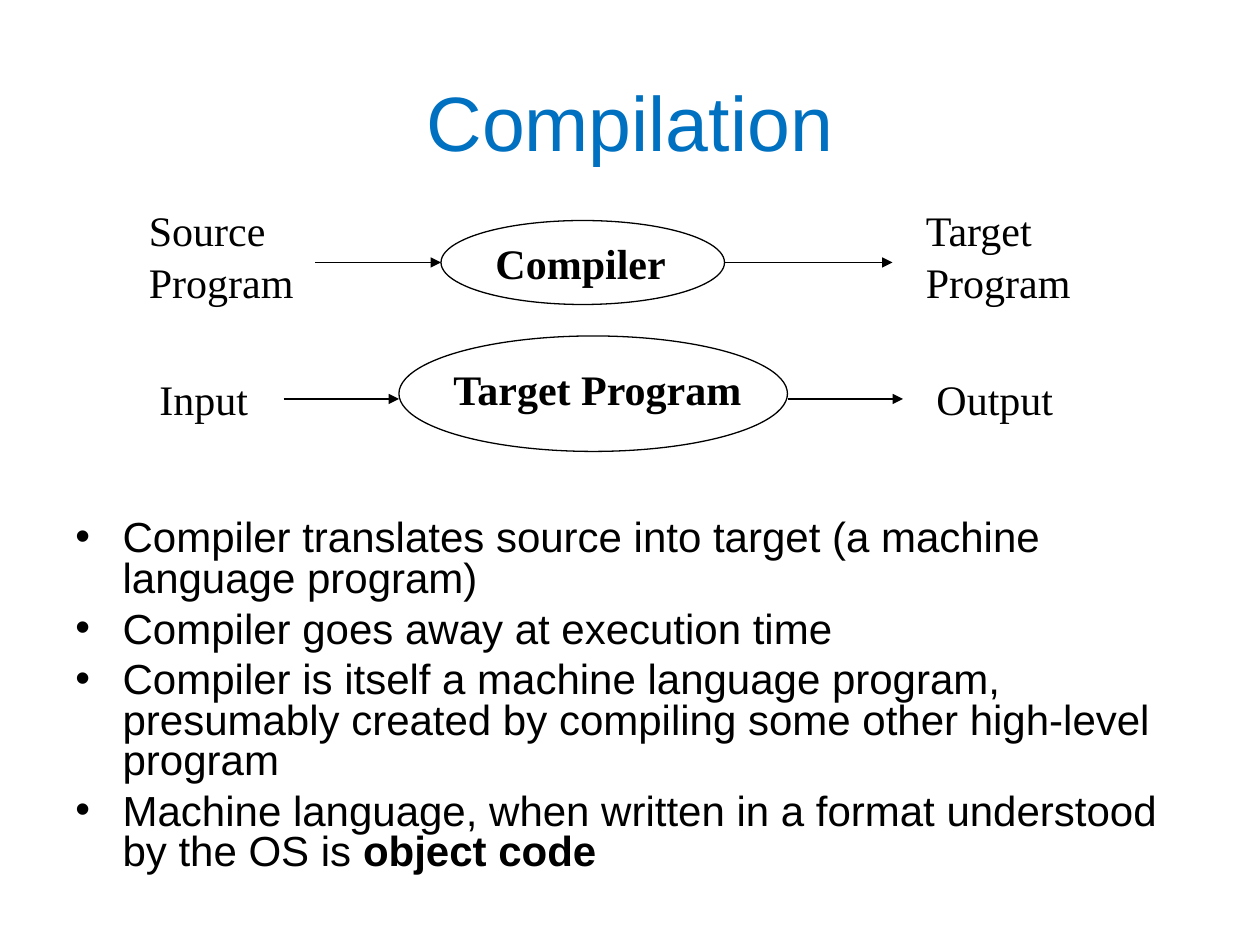
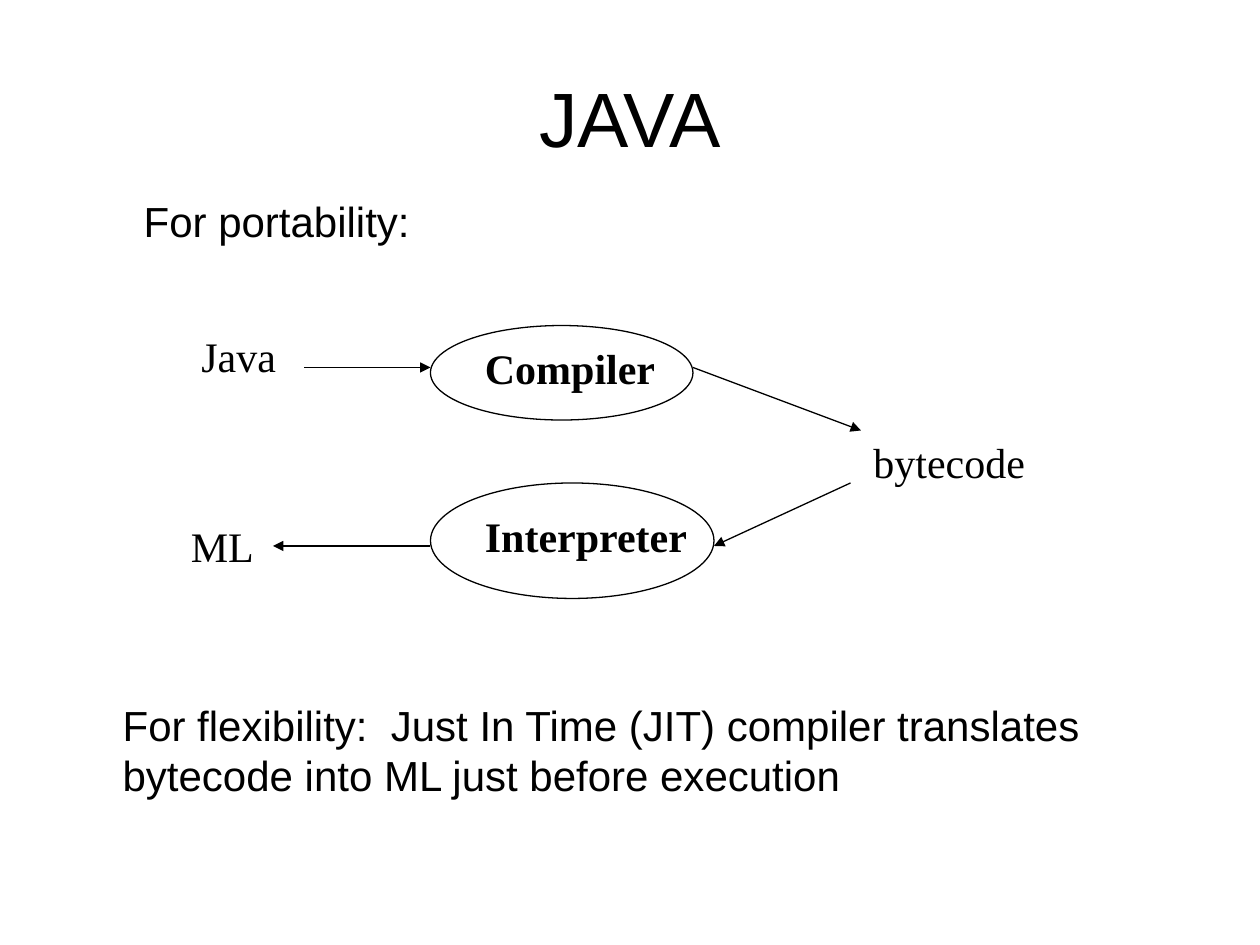
from pptx import Presentation
from pptx.dml.color import RGBColor
from pptx.enum.shapes import MSO_CONNECTOR, MSO_SHAPE
from pptx.enum.text import MSO_ANCHOR, MSO_AUTO_SIZE, PP_ALIGN
from pptx.oxml.ns import qn
from pptx.util import Pt
from lxml import etree

OVAL = MSO_SHAPE.OVAL
STRAIGHT = MSO_CONNECTOR.STRAIGHT
MIDDLE = MSO_ANCHOR.MIDDLE
CENTER = PP_ALIGN.CENTER
GROW = MSO_AUTO_SIZE.SHAPE_TO_FIT_TEXT

BLACK = "000000"
BLUE = "0070C0"
SANS = "Arial"
SERIF = "Times New Roman"
TITLE_SIZE = 44
TEXT_SIZE = 24
LINE_WIDTH = 0.75
BULLET_INDENT = 27


def rgb(value):
    return RGBColor.from_string(value)


def add_run(p, text, font, size=TEXT_SIZE, color=BLACK, bold=False):
    r = p.add_run()
    r.text = text
    r.font.name = font
    r.font.size = Pt(size)
    r.font.bold = bold
    r.font.color.rgb = rgb(color)


def add_frame(slide, box):
    """Add a wrapping text box and return its text frame."""
    tf = slide.shapes.add_textbox(*map(Pt, box)).text_frame
    tf.word_wrap = True
    return tf


def add_paragraph(tf, index, before, spacing=None):
    p = tf.paragraphs[0] if index == 0 else tf.add_paragraph()
    p.space_before = Pt(before)
    p.line_spacing = spacing
    return p


def set_indent(p, left, first=0):
    ppr = p._p.get_or_add_pPr()
    ppr.set("marL", str(Pt(left)))
    ppr.set("indent", str(Pt(first)))
    return ppr


def add_title(slide, text, box, color=BLACK):
    tf = add_frame(slide, box)
    tf.vertical_anchor = MIDDLE
    p = tf.paragraphs[0]
    p.alignment = CENTER
    add_run(p, text, SANS, TITLE_SIZE, color)


def add_label(slide, lines, box, spacing=None, bold=False):
    """Add a serif diagram label, one paragraph per line."""
    tf = add_frame(slide, box)
    tf.auto_size = GROW
    for i, line in enumerate(lines):
        add_run(add_paragraph(tf, i, 15, spacing), line, SERIF, bold=bold)


def add_stage(slide, name, name_box, oval_box):
    """Add a processing stage: a bold name and the oval around it."""
    add_label(slide, [name], name_box, bold=True)
    sp = slide.shapes.add_shape(OVAL, *map(Pt, oval_box))
    sp.shadow.inherit = False
    sp.fill.background()
    sp.line.color.rgb = rgb(BLACK)
    sp.line.width = Pt(LINE_WIDTH)


def add_arrow(slide, *ends):
    """Add an arrow from x1, y1 to x2, y2."""
    cxn = slide.shapes.add_connector(STRAIGHT, *map(Pt, ends))
    cxn.line.color.rgb = rgb(BLACK)
    cxn.line.width = Pt(LINE_WIDTH)
    etree.SubElement(cxn.line._get_or_add_ln(), qn("a:tailEnd"), type="triangle")
    etree.SubElement(cxn._element.spPr, qn("a:effectLst"))


def add_note(slide, text, box):
    tf = add_frame(slide, box)
    tf.auto_size = GROW
    p = add_paragraph(tf, 0, 6)
    set_indent(p, 9)
    add_run(p, text, SANS)


def add_bullets(slide, items, box):
    """Add bullets; each item is a list of (text, bold) runs."""
    tf = add_frame(slide, box)
    for i, runs in enumerate(items):
        p = add_paragraph(tf, i, 6, 0.8)
        ppr = set_indent(p, BULLET_INDENT, -BULLET_INDENT)
        color = etree.SubElement(ppr, qn("a:buClr"))
        etree.SubElement(color, qn("a:srgbClr"), val=BLACK)
        etree.SubElement(ppr, qn("a:buFont"), typeface=SANS)
        etree.SubElement(ppr, qn("a:buChar"), char="•")
        for text, bold in runs:
            add_run(p, text, SANS, bold=bold)


def build_compilation(slide):
    add_title(slide, "Compilation", (54, 36, 612, 66), BLUE)

    add_label(slide, ["Source", "Program"], (78, 126, 108, 51), 0.5)
    add_stage(slide, "Compiler", (276, 132, 120, 36), (252, 126, 162, 48))
    add_label(slide, ["Target", "Program"], (522, 126, 102, 51), 0.5)
    add_arrow(slide, 180, 150, 252, 150)
    add_arrow(slide, 414, 150, 510, 150)

    add_label(slide, ["Input"], (84, 210, 72, 36))
    add_stage(slide, "Target Program", (252, 204, 186, 36), (228, 192, 222, 66))
    add_label(slide, ["Output"], (528, 210, 84, 36))
    add_arrow(slide, 162, 228, 228, 228)
    add_arrow(slide, 450, 228, 516, 228)

    add_bullets(slide, [
        [("Compiler translates source into target (a machine language program)", False)],
        [("Compiler goes away at execution time", False)],
        [("Compiler is itself a machine language program, presumably created "
          "by compiling some other high-level program", False)],
        [("Machine language, when written in a format understood by the OS is ", False),
         ("object code", True)],
    ], (36, 294, 648, 216))


def build_java(slide):
    add_title(slide, "JAVA", (36, 21.6, 648, 90))
    add_note(slide, "For portability:", (66, 108, 492, 36))

    add_label(slide, ["Java"], (108, 198, 72, 21.6), 0.5)
    add_stage(slide, "Compiler", (270, 192, 114, 36), (246, 186, 150, 54))
    add_label(slide, ["bytecode"], (492, 246, 126, 36))
    add_stage(slide, "Interpreter", (270, 288, 132, 36), (246, 276, 162, 66))
    add_label(slide, ["ML"], (102, 294, 66, 36))
    add_arrow(slide, 174, 210, 246, 210)
    add_arrow(slide, 396, 210, 492, 246)
    add_arrow(slide, 486, 276, 408, 312)
    add_arrow(slide, 246, 312, 156, 312)

    add_note(slide, "For flexibility:  Just In Time (JIT) compiler translates "
             "bytecode into ML just before execution", (54, 396, 618, 64.8))


def main():
    prs = Presentation()
    prs.slide_width, prs.slide_height = Pt(720), Pt(540)
    blank = prs.slide_layouts[6]
    for build in (build_compilation, build_java):
        build(prs.slides.add_slide(blank))
    prs.save("out.pptx")


if __name__ == "__main__":
    main()
